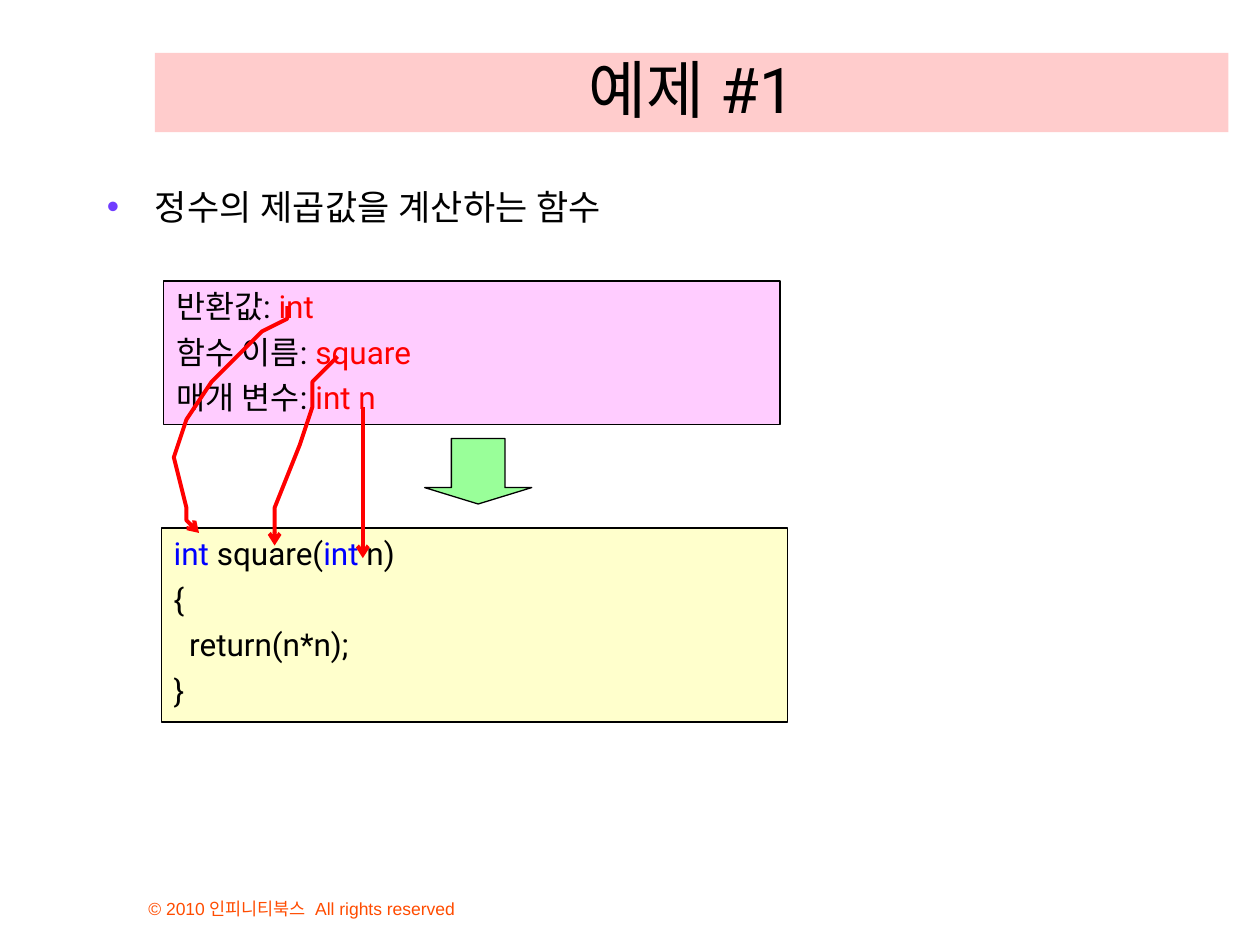
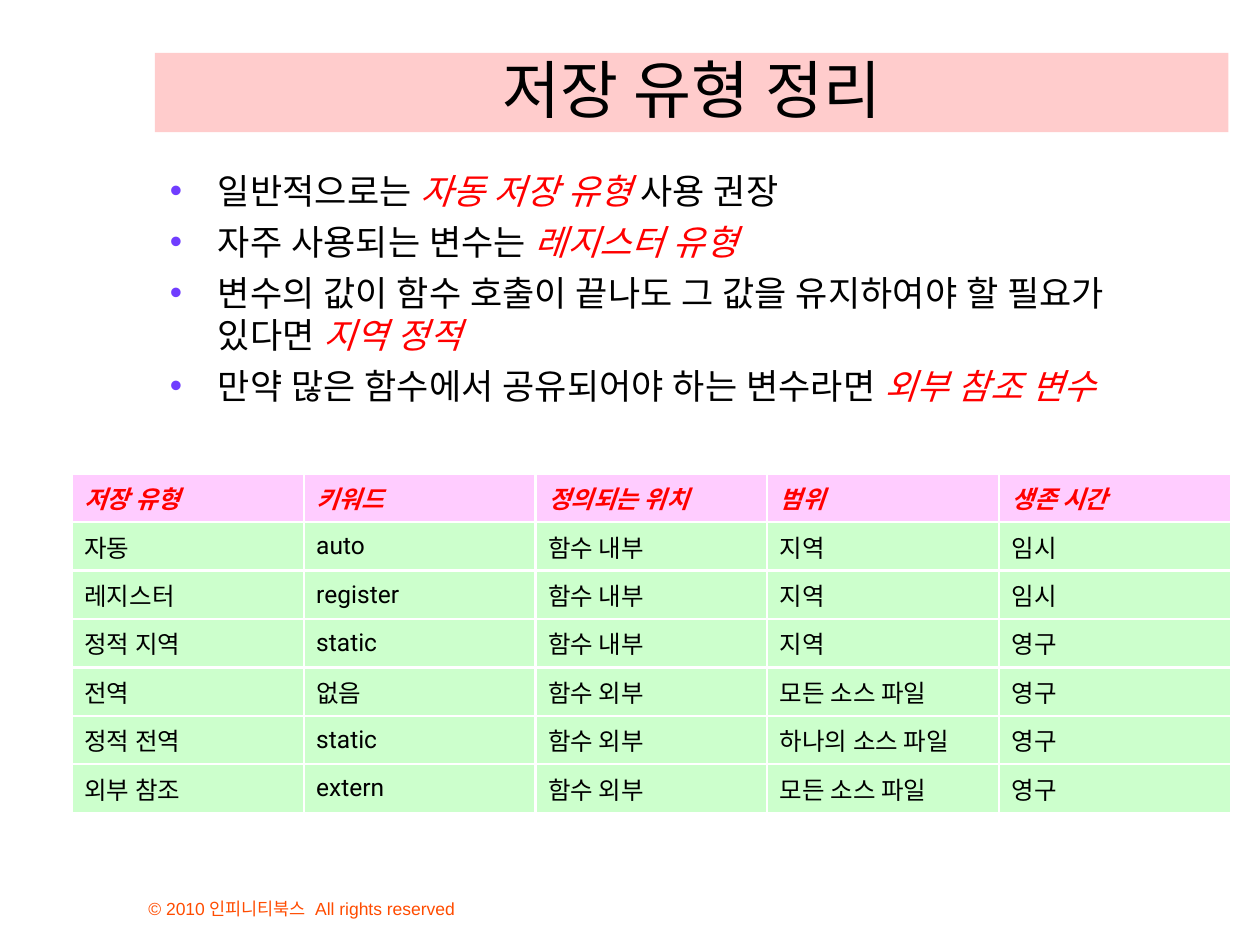
from lxml import etree
from pptx import Presentation
from pptx.dml.color import RGBColor
from pptx.enum.shapes import MSO_SHAPE
from pptx.enum.text import MSO_ANCHOR, PP_ALIGN
from pptx.oxml.ns import qn
from pptx.util import Inches, Pt

RECTANGLE, DOWN_ARROW = MSO_SHAPE.RECTANGLE, MSO_SHAPE.DOWN_ARROW
BOTTOM, MIDDLE, CENTER = MSO_ANCHOR.BOTTOM, MSO_ANCHOR.MIDDLE, PP_ALIGN.CENTER

# The slide is a grid of 100 columns by 75 rows.
SLIDE_WIDTH, SLIDE_HEIGHT = Inches(10), Inches(7.5)
UNIT = SLIDE_WIDTH / 100
BLACK, RED, BLUE, WHITE = "000000", "FF0000", "0000FF", "FFFFFF"
ORANGE, VIOLET = "FF4C00", "703DFF"
ROSE, PINK, CREAM, GREEN, MINT = "FFCCCC", "FFCCFF", "FFFFCC", "99FF99", "CCFFCC"
TEXT_FONT, HANGUL_FONT, FOOTER_FONT = "Roboto", "Noto Sans CJK KR", "Arial"

TITLE_BOX = (12.3, 4.2, 85.2, 6.3)
FOOTER_BOX = (10.8, 69.2, 38.3, 4.2)
FOOTER = "© 2010 인피니티북스  All rights reserved"

PLAIN = {"color": BLACK}
VALUE = {"color": RED}
KEYWORD = {"color": BLUE}
TERM = {"color": RED, "italic": True}

REQUIREMENTS = [
    [("반환값: ", PLAIN), ("int", VALUE)],
    [("함수 이름:", PLAIN), (" square", VALUE)],
    [("매개 변수: ", PLAIN), ("int n", VALUE)],
]
CODE = [
    [("int ", KEYWORD), ("square(", PLAIN), ("int", KEYWORD), (" n)", PLAIN)],
    [("{", PLAIN)],
    [("  return(n*n);", PLAIN)],
    [("}", PLAIN)],
]
# From each requirement to its place in the code, in grid units of the diagram.
TRACES = [
    [(10.4, 2.5), (9.6, 2.7), (8.3, 3.8), (4.2, 7.5), (2.1, 10.9), (1.2, 13.8),
     (1.6, 17.5), (2.4, 18.9), (2.6, 20.2), (3.1, 20.5)],
    [(13.6, 6.5), (12.4, 8.3), (11.6, 10.4), (10.8, 12.9), (9.2, 17.9),
     (8.9, 19.8), (9, 21.3)],
    [(15.6, 10.3), (15.9, 14.6), (15.8, 16.6), (15.6, 20.4), (15.8, 21.5)],
]
ADVICE = [
    [("일반적으로는 ", PLAIN), ("자동 저장 유형", TERM), (" 사용 권장", PLAIN)],
    [("자주 사용되는 변수는 ", PLAIN), ("레지스터 유형", TERM)],
    [("변수의 값이 함수 호출이 끝나도 그 값을 유지하여야 할 필요가 있다면 ", PLAIN),
     ("지역 정적", TERM)],
    [("만약 많은 함수에서 공유되어야 하는 변수라면 ", PLAIN), ("외부 참조 변수", TERM)],
]
STORAGE_CLASSES = [
    ["저장 유형", "키워드", "정의되는 위치", "범위", "생존 시간"],
    ["자동", "auto", "함수 내부", "지역", "임시"],
    ["레지스터", "register", "함수 내부", "지역", "임시"],
    ["정적 지역", "static", "함수 내부", "지역", "영구"],
    ["전역", "없음", "함수 외부", "모든 소스 파일", "영구"],
    ["정적 전역", "static", "함수 외부", "하나의 소스 파일", "영구"],
    ["외부 참조", "extern", "함수 외부", "모든 소스 파일", "영구"],
]


def rgb(color):
    return RGBColor.from_string(color)


def emu(box):
    return [round(length * UNIT) for length in box]


def within(region, part):
    """Move a part's box from its region's corner to the slide's."""
    return (region[0] + part[0], region[1] + part[1], *part[2:])


def child(parent, tag, **attributes):
    return etree.SubElement(parent, qn(tag), attributes)


def add_run(paragraph, text, color=BLACK, name=TEXT_FONT, hangul=TEXT_FONT, **style):
    run = paragraph.add_run()
    run.text = text
    for key, value in {"name": name, **style}.items():
        setattr(run.font, key, value)
    run.font.color.rgb = rgb(color)
    child(run.font._element, "a:ea", typeface=hangul)


def add_bullet(paragraph):
    properties = paragraph._p.get_or_add_pPr()
    properties.set("marL", str(Inches(0.38)))
    properties.set("indent", str(-Inches(0.38)))
    child(child(properties, "a:buClr"), "a:srgbClr", val=VIOLET)
    child(properties, "a:buFont", typeface=FOOTER_FONT)
    child(properties, "a:buChar", char="•")


def write(frame, lines, size, space_before=0, bullets=False, **layout):
    frame.word_wrap = True
    for index, line in enumerate(lines):
        paragraph = frame.paragraphs[0] if index == 0 else frame.add_paragraph()
        if bullets:
            add_bullet(paragraph)
        for key, value in layout.items():
            setattr(paragraph, key, value)
        if index:
            paragraph.space_before = Pt(space_before)
        for text, style in line:
            add_run(paragraph, text, size=Pt(size), **style)


def add_block(slide, kind, box, fill, outline=None):
    block = slide.shapes.add_shape(kind, *emu(box))
    block.shadow.inherit = False
    block.fill.solid()
    block.fill.fore_color.rgb = rgb(fill)
    if outline:
        block.line.color.rgb = rgb(outline)
        block.line.width = Pt(0.75)
    else:
        block.line.fill.background()
    return block


def add_panel(slide, box, fill, lines):
    frame = add_block(slide, RECTANGLE, box, fill, BLACK).text_frame
    frame.vertical_anchor = MSO_ANCHOR.TOP
    write(frame, lines, 18, 4.5, alignment=PP_ALIGN.LEFT)


def add_trace(slide, region, points):
    start, *others = points
    builder = slide.shapes.build_freeform(*start, scale=UNIT)
    builder.add_line_segments(others, close=False)
    trace = builder.convert_to_shape(*emu(region[:2]))
    trace.shadow.inherit = False
    trace.fill.background()
    trace.line.color.rgb = rgb(RED)
    trace.line.width = Pt(2.25)
    line = trace.line._get_or_add_ln()
    child(line, "a:round")
    child(line, "a:tailEnd", type="arrow")


def add_function_diagram(slide, region):
    add_panel(slide, within(region, (0.2, 0, 48.9, 11.4)), PINK, REQUIREMENTS)
    add_panel(slide, within(region, (0, 19.6, 49.7, 15.4)), CREAM, CODE)
    step = add_block(slide, DOWN_ARROW, within(region, (20.9, 12.5, 8.5, 5.2)), GREEN, BLACK)
    step.adjustments[1] = 0.25
    for points in TRACES:
        add_trace(slide, region, points)


def add_bullets(slide, box, lines, **layout):
    frame = slide.shapes.add_textbox(*emu(box)).text_frame
    write(frame, lines, 20, 5, bullets=True, **layout)


def outline_cell(cell):
    properties = cell._tc.get_or_add_tcPr()
    for position, side in enumerate(("a:lnL", "a:lnR", "a:lnT", "a:lnB")):
        border = etree.Element(qn(side), w=str(Pt(1.47)))
        child(child(border, "a:solidFill"), "a:srgbClr", val=WHITE)
        properties.insert(position, border)


def add_storage_table(slide, box):
    rows, columns = len(STORAGE_CLASSES), len(STORAGE_CLASSES[0])
    table = slide.shapes.add_table(rows, columns, *emu(box)).table
    table.horz_banding = False
    heading = {"color": RED, "bold": True, "italic": True, "name": HANGUL_FONT}
    for row, entries in enumerate(STORAGE_CLASSES):
        style = PLAIN if row else heading
        for column, entry in enumerate(entries):
            cell = table.cell(row, column)
            cell.fill.solid()
            cell.fill.fore_color.rgb = rgb(MINT if row else PINK)
            cell.vertical_anchor = MIDDLE
            outline_cell(cell)
            write(cell.text_frame, [[(entry, {"bold": False, "hangul": HANGUL_FONT, **style})]], 14)


def add_titled_slide(deck, title):
    slide = deck.slides.add_slide(deck.slide_layouts[6])
    footer = slide.shapes.add_textbox(*emu(FOOTER_BOX)).text_frame
    footer.vertical_anchor = BOTTOM
    footer_style = {"color": ORANGE, "name": FOOTER_FONT, "hangul": FOOTER_FONT}
    write(footer, [[(FOOTER, footer_style)]], 10)
    band = add_block(slide, RECTANGLE, TITLE_BOX, ROSE).text_frame
    band.vertical_anchor = BOTTOM
    write(band, [[(title, PLAIN)]], 36, alignment=CENTER)
    return slide


def add_example_slide(deck):
    slide = add_titled_slide(deck, "예제 #1")
    add_bullets(slide, (7.5, 14.6, 89.8, 4.1),
                [[("정수의 제곱값을 계산하는 함수", PLAIN)]], line_spacing=0.9)
    add_function_diagram(slide, (12.8, 22.3, 49.7, 35))


def add_summary_slide(deck):
    slide = add_titled_slide(deck, "저장 유형 정리")
    add_bullets(slide, (12.5, 13, 83.8, 24), ADVICE)
    add_storage_table(slide, (5.7, 37.6, 92, 26.9))


def main():
    deck = Presentation()
    deck.slide_width, deck.slide_height = SLIDE_WIDTH, SLIDE_HEIGHT
    add_example_slide(deck)
    add_summary_slide(deck)
    deck.save("out.pptx")


if __name__ == "__main__":
    main()
